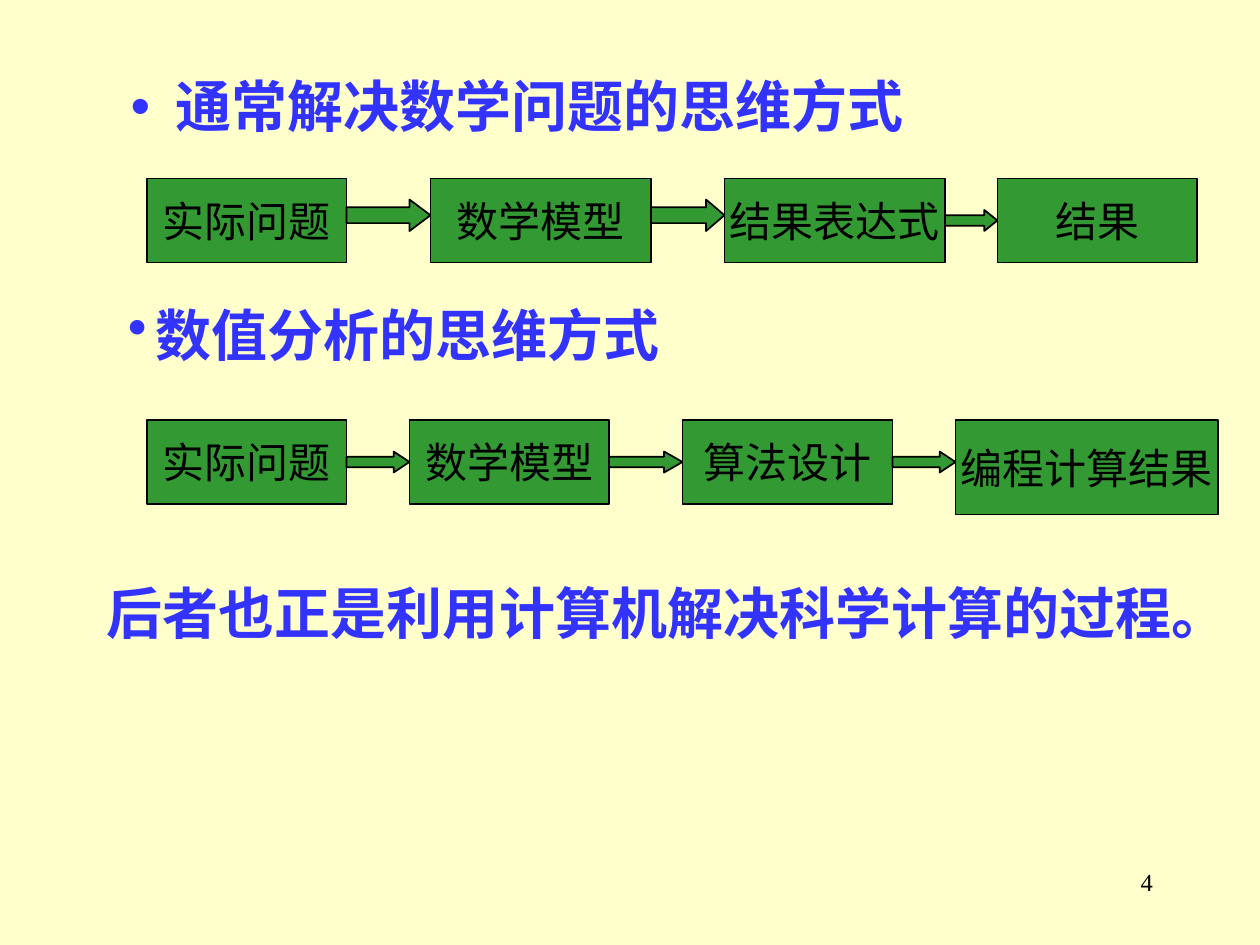
from dataclasses import dataclass

from pptx import Presentation
from pptx.dml.color import RGBColor
from pptx.enum.shapes import MSO_SHAPE as Preset
from pptx.enum.text import MSO_ANCHOR as Anchor
from pptx.enum.text import MSO_AUTO_SIZE as AutoSize
from pptx.enum.text import PP_ALIGN as Align
from pptx.oxml.xmlchemy import OxmlElement
from pptx.util import Pt

EMU_PER_PX = 9525


@dataclass(frozen=True)
class Theme:
    background: RGBColor = RGBColor.from_string("FFFFCC")
    heading: RGBColor = RGBColor.from_string("3333FF")
    box: RGBColor = RGBColor.from_string("339933")
    ink: RGBColor = RGBColor.from_string("000000")
    serif: str = "Times New Roman"
    sans: str = "Cabin"
    heading_size: int = 32
    box_size: int = 24
    number_size: int = 14
    line_width: int = 1


THEME = Theme()

HEADING = {"name": THEME.serif, "size": Pt(THEME.heading_size),
           "bold": True, "color": THEME.heading}
CLOSING = {**HEADING, "name": THEME.sans}
BOX_TEXT = {"name": THEME.sans, "size": Pt(THEME.box_size),
            "bold": False, "color": THEME.ink}
NUMBER = {"name": THEME.serif, "size": Pt(THEME.number_size),
          "bold": False, "color": THEME.ink}

USUAL_STEPS = [("实际问题", 152, 64), ("数学模型", 168, 64),
               ("结果表达式", 168, 64), ("结果", 152, 64)]
USUAL_ARROWS = [(64, 152, 24), (56, 152, 24), (40, 160, 16)]
NUMERICAL_STEPS = [("实际问题", 152, 64), ("数学模型", 152, 64),
                   ("算法设计", 160, 64), ("编程计算结果", 200, 72)]
NUMERICAL_ARROWS = [(48, 344, 16), (56, 344, 16), (48, 344, 16)]


def px(value):
    return value * EMU_PER_PX


def place(shape, left, top, width, height):
    bounds = {"left": left, "top": top, "width": width, "height": height}
    for name, value in bounds.items():
        setattr(shape, name, px(value))


def set_bullet(paragraph, margin, hanging):
    properties = paragraph._p.get_or_add_pPr()
    properties.set("marL", str(px(margin)))
    properties.set("indent", str(px(-hanging)))
    color = OxmlElement("a:buClr")
    value = OxmlElement("a:srgbClr")
    value.set("val", str(THEME.heading))
    color.append(value)
    bullet = OxmlElement("a:buChar")
    bullet.set("char", "•")
    properties.extend([color, bullet])


def write_text(shape, text, style, align=Align.LEFT, anchor=Anchor.TOP,
               wrap=True, bullet=None):
    frame = shape.text_frame
    frame.text = text
    frame_format = {"word_wrap": wrap, "vertical_anchor": anchor,
                    "auto_size": AutoSize.NONE}
    for name, value in frame_format.items():
        setattr(frame, name, value)
    paragraph = frame.paragraphs[0]
    paragraph.alignment = align
    paragraph.space_before = Pt(0)
    if bullet:
        set_bullet(paragraph, *bullet)
    font = paragraph.runs[0].font
    for name, value in style.items():
        if name == "color":
            font.color.rgb = value
        else:
            setattr(font, name, value)


def add_text(slide, bounds, text, style, **options):
    shape = slide.shapes.add_textbox(*map(px, bounds))
    write_text(shape, text, style, **options)


def add_green_shape(slide, preset, *bounds):
    shape = slide.shapes.add_shape(preset, *map(px, bounds))
    shape.shadow.inherit = False
    shape.fill.solid()
    shape.fill.fore_color.rgb = THEME.box
    shape.line.color.rgb = THEME.ink
    shape.line.width = Pt(THEME.line_width)
    return shape


def add_step(slide, left, top, width, height, text):
    shape = add_green_shape(slide, Preset.FLOWCHART_PROCESS,
                            left, top, width, height)
    write_text(shape, text, BOX_TEXT, align=Align.CENTER,
               anchor=Anchor.MIDDLE, wrap=False)


def add_arrow(slide, left, top, length, height):
    shape = add_green_shape(slide, Preset.RIGHT_ARROW,
                            left, top, length, height)
    shape.adjustments[1] = length / 4 / height


def add_flow(slide, left, top, steps, arrows):
    for index, (text, width, height) in enumerate(steps):
        add_step(slide, left, top, width, height, text)
        left += width
        if index < len(arrows):
            length, arrow_top, arrow_height = arrows[index]
            add_arrow(slide, left, arrow_top, length, arrow_height)
            left += length


def add_heading(slide):
    title = slide.shapes.title
    title.element.getparent().remove(title.element)
    body = slide.placeholders[1]
    place(body, 80, 50, 816, 182)
    write_text(body, "通常解决数学问题的思维方式", HEADING, bullet=(44, 34))


def main():
    presentation = Presentation()
    presentation.slide_width = px(960)
    presentation.slide_height = px(720)
    slide = presentation.slides.add_slide(presentation.slide_layouts[1])
    slide.background.fill.solid()
    slide.background.fill.fore_color.rgb = THEME.background

    add_heading(slide)
    add_flow(slide, 112, 136, USUAL_STEPS, USUAL_ARROWS)
    add_flow(slide, 112, 320, NUMERICAL_STEPS, NUMERICAL_ARROWS)
    add_text(slide, (72, 436, 880, 61),
             "后者也正是利用计算机解决科学计算的过程。", CLOSING)
    add_text(slide, (88, 224, 472, 61), "数值分析的思维方式", HEADING,
             bullet=(21, 21))
    add_text(slide, (688, 656, 200, 48), "4", NUMBER, align=Align.RIGHT)
    presentation.save("out.pptx")


if __name__ == "__main__":
    main()
